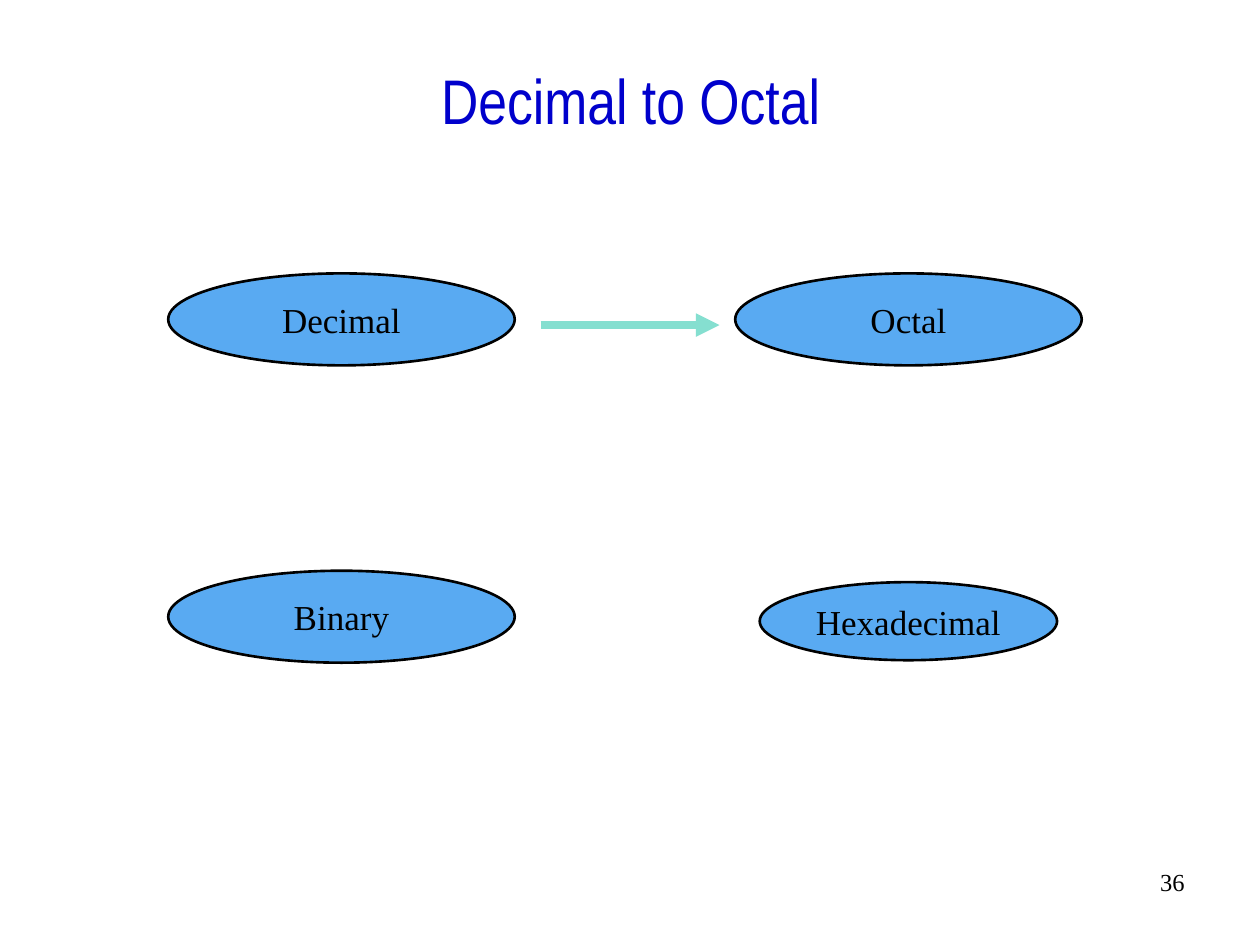
from dataclasses import dataclass

from lxml.etree import SubElement
from pptx import Presentation
from pptx.dml.color import RGBColor as RGB
from pptx.enum.shapes import MSO_CONNECTOR as Connector, MSO_SHAPE as Shape
from pptx.enum.text import MSO_ANCHOR as Anchor, PP_ALIGN as Align
from pptx.oxml.ns import qn
from pptx.util import Inches, Pt

TITLE = "Decimal to Octal"
PAGE_NUMBER = "36"

WIDE, NARROW = (2.75, 0.73), (2.36, 0.62)
LEFT_CENTER, RIGHT_CENTER = 2.71, 7.21
# name, center x, top, (width, height)
NUMBER_SYSTEMS = [
    ("Hexadecimal", RIGHT_CENTER, 4.62, NARROW),
    ("Decimal", LEFT_CENTER, 2.17, WIDE),
    ("Octal", RIGHT_CENTER, 2.17, WIDE),
    ("Binary", LEFT_CENTER, 4.53, WIDE),
]
CONVERSION_START, CONVERSION_END, CONVERSION_Y = 4.29, 5.71, 2.58


@dataclass(frozen=True)
class Theme:
    title_font: str = "Arial Narrow"
    body_font: str = "Times New Roman"
    title_size: int = 36
    label_size: int = 20
    number_size: int = 14
    title_color: RGB = RGB(0x00, 0x00, 0xCC)
    ink: RGB = RGB(0x00, 0x00, 0x00)
    oval_fill: RGB = RGB(0x59, 0xAA, 0xF2)
    arrow: RGB = RGB(0x85, 0xDF, 0xD0)
    outline_width: float = 1.5
    arrow_width: float = 4.5


THEME = Theme()


def write(shape, text, size, align, anchor=Anchor.MIDDLE,
          font=THEME.body_font, color=THEME.ink, wrap=True):
    frame = shape.text_frame
    frame.word_wrap = wrap
    frame.vertical_anchor = anchor
    paragraph = frame.paragraphs[0]
    paragraph.alignment = align
    run = paragraph.add_run()
    run.text = text
    run.font.name = font
    run.font.size = Pt(size)
    run.font.color.rgb = color


def add_number_system(slide, name, center, top, size):
    width, height = size
    oval = slide.shapes.add_shape(
        Shape.OVAL, Inches(center - width / 2), Inches(top),
        Inches(width), Inches(height))
    oval.shadow.inherit = False
    oval.fill.solid()
    oval.fill.fore_color.rgb = THEME.oval_fill
    oval.line.color.rgb = THEME.ink
    oval.line.width = Pt(THEME.outline_width)
    write(oval, name, THEME.label_size, Align.CENTER, wrap=False)


def add_conversion_arrow(slide):
    arrow = slide.shapes.add_connector(
        Connector.STRAIGHT, Inches(CONVERSION_START), Inches(CONVERSION_Y),
        Inches(CONVERSION_END), Inches(CONVERSION_Y))
    arrow.line.color.rgb = THEME.arrow
    arrow.line.width = Pt(THEME.arrow_width)
    properties = arrow._element.spPr
    SubElement(properties.find(qn("a:ln")), qn("a:tailEnd"), type="triangle")
    SubElement(properties, qn("a:effectLst"))


def main():
    deck = Presentation()
    deck.slide_width, deck.slide_height = Inches(10), Inches(7.5)
    slide = deck.slides.add_slide(deck.slide_layouts[6])

    title = slide.shapes.add_textbox(
        Inches(0.17), Inches(0.33), Inches(9.67), Inches(0.92))
    write(title, TITLE, THEME.title_size, Align.CENTER,
          font=THEME.title_font, color=THEME.title_color)

    for system in NUMBER_SYSTEMS:
        add_number_system(slide, *system)
    add_conversion_arrow(slide)

    page_number = slide.shapes.add_textbox(
        Inches(7.42), Inches(6.83), Inches(2.08), Inches(0.5))
    write(page_number, PAGE_NUMBER, THEME.number_size, Align.RIGHT, Anchor.TOP)

    deck.save("out.pptx")


if __name__ == "__main__":
    main()
